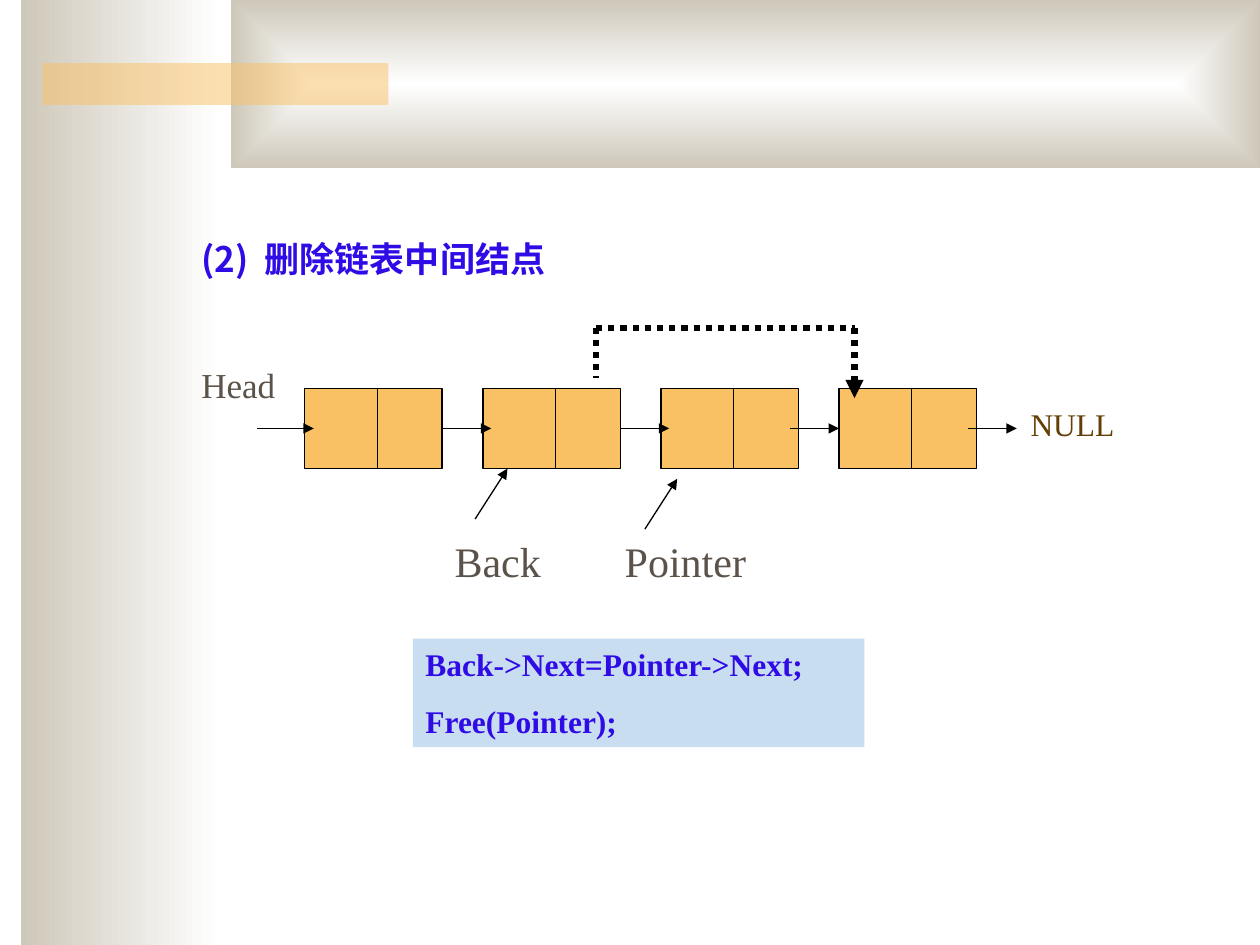
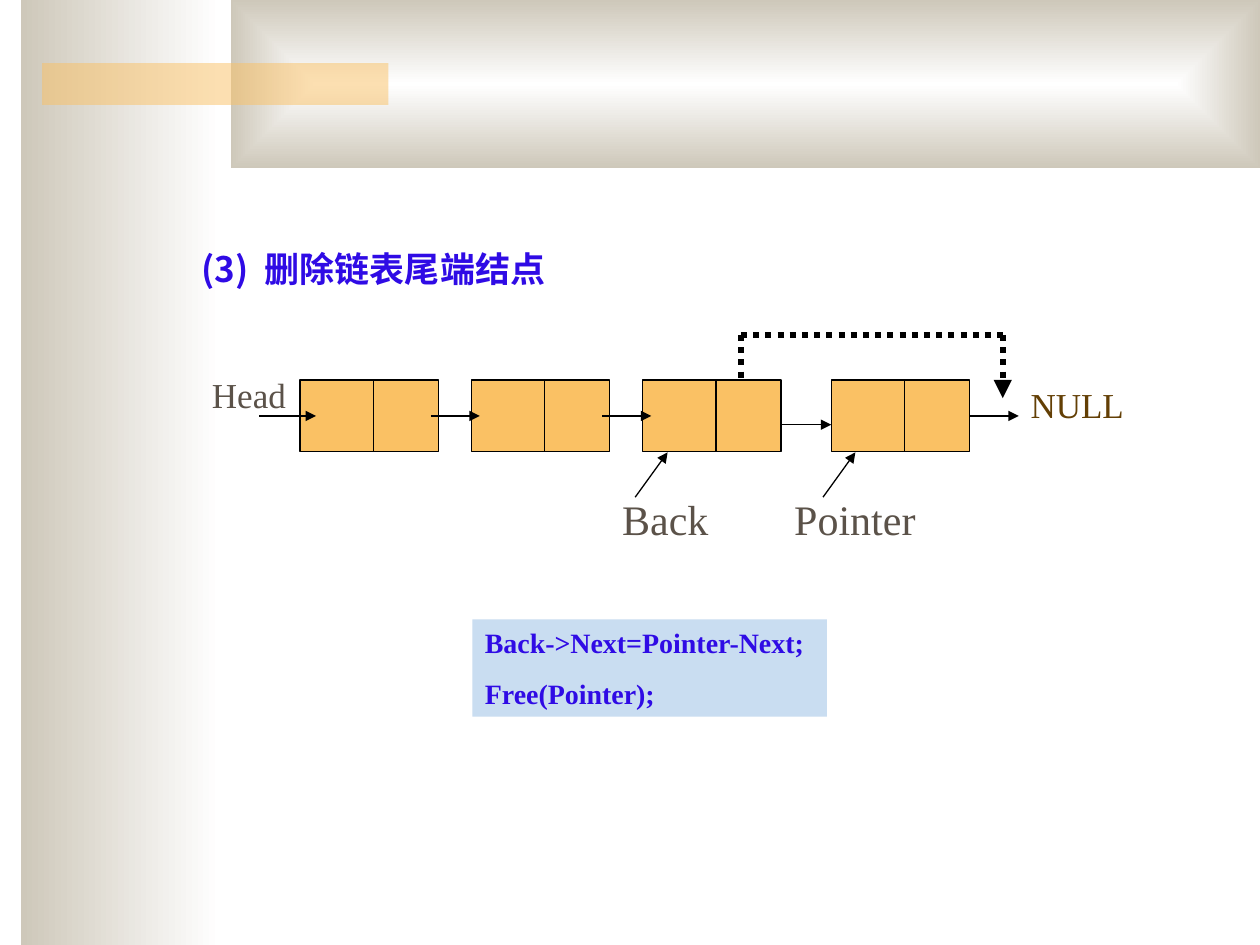
from dataclasses import dataclass
from typing import Any, Optional

import lxml.etree
import pptx
import pptx.dml.color
import pptx.enum.dml
import pptx.enum.shapes
import pptx.enum.text
import pptx.oxml.ns
import pptx.util

COLORS = {
    "band": "CEC8BA",
    "white": "FFFFFF",
    "node": "FAC164",
    "line": "000000",
    "blue": "2F0BE5",
    "label": "5B5249",
    "null": "633F05",
    "code": "C9DDF1",
}
SERIF = "Times New Roman"
SANS = "Noto Sans CJK SC"
RECTANGLE = pptx.enum.shapes.MSO_SHAPE.RECTANGLE
LEFT_SIDE, RIGHT_SIDE = 1, 3
DIVIDER_SHARE = 0.53
HEAD_LENGTH = 32.4
LINK_LENGTH = 28

Box = tuple[float, float, float, float]
Point = tuple[float, float]


@dataclass(frozen=True)
class Text:
    lines: tuple[str, ...]
    box: Box
    size: float
    color: str = "label"
    font: str = SERIF
    bold: bool = False
    fill: Optional[str] = None
    line_spacing: Optional[float] = None


@dataclass(frozen=True)
class Link:
    """Arrow to the right, optionally glued to a node at either end."""
    left: float
    y: float
    begin_node: Optional[int] = None
    end_node: Optional[int] = None


@dataclass(frozen=True)
class Detour:
    """Dotted path that goes up, across and down past the deleted node."""
    left: float
    top: float
    right: float
    start: float
    tip: float


@dataclass(frozen=True)
class ListSlide:
    title: Text
    node_lefts: tuple[float, ...]
    node_top: float
    node_size: Point
    head_start: Point
    links: tuple[Link, ...]
    pointer_tips: tuple[Point, ...]
    pointer_rise: float
    detour: Detour
    texts: tuple[Text, ...]


def rgb(name: str) -> pptx.dml.color.RGBColor:
    return pptx.dml.color.RGBColor.from_string(COLORS[name])


def points(*values: float) -> list[pptx.util.Length]:
    return [pptx.util.Pt(value) for value in values]


def add_child(parent: Any, tag: str, **attributes: str) -> Any:
    child = lxml.etree.SubElement(parent, pptx.oxml.ns.qn(tag))
    for name, value in attributes.items():
        child.set(name, value)
    return child


def find(element: Any, tag: str) -> Any:
    return next(element.iter(pptx.oxml.ns.qn(tag)))


# Basic shapes, lines and text
def add_rectangle(shapes: Any, box: Box, color: Optional[str] = None) -> Any:
    shape = shapes.add_shape(RECTANGLE, *points(*box))
    shape.shadow.inherit = False
    shape.line.fill.background()
    if color:
        shape.fill.solid()
        shape.fill.fore_color.rgb = rgb(color)
    return shape


def add_line(shapes: Any, start: Point, end: Point, width: float = 0.75,
             arrow: bool = False, dotted: bool = False) -> Any:
    connector = shapes.add_connector(
        pptx.enum.shapes.MSO_CONNECTOR.STRAIGHT, *points(*start, *end))
    connector.line.color.rgb = rgb("line")
    connector.line.width = pptx.util.Pt(width)
    if dotted:
        connector.line.dash_style = pptx.enum.dml.MSO_LINE.ROUND_DOT
    if arrow:
        add_child(find(connector.element, "a:ln"), "a:tailEnd", type="triangle")
    add_child(connector.element.spPr, "a:effectLst")
    return connector


def write_text(shape: Any, text: Text) -> None:
    shape.left, shape.top, shape.width, shape.height = points(*text.box)
    frame = shape.text_frame
    frame.word_wrap = True
    frame.auto_size = pptx.enum.text.MSO_AUTO_SIZE.SHAPE_TO_FIT_TEXT
    frame.vertical_anchor = pptx.enum.text.MSO_ANCHOR.TOP
    if text.fill:
        shape.fill.solid()
        shape.fill.fore_color.rgb = rgb(text.fill)
    for index, line in enumerate(text.lines):
        paragraph = frame.add_paragraph() if index else frame.paragraphs[0]
        paragraph.alignment = pptx.enum.text.PP_ALIGN.LEFT
        paragraph.space_before = pptx.util.Pt(text.size * 0.625)
        if text.line_spacing:
            paragraph.line_spacing = text.line_spacing
        run = paragraph.add_run()
        run.text = line
        run.font.size = pptx.util.Pt(text.size)
        run.font.bold = text.bold
        run.font.color.rgb = rgb(text.color)
        run.font.name = text.font
        add_child(find(run.font._element, "a:latin").getparent(),
                  "a:ea", typeface=text.font)


# Bands shared by all slides
def set_gradient(shape: Any) -> None:
    shape.fill.gradient()
    shape.fill.gradient_angle = 180
    for stop, color in zip(shape.fill.gradient_stops, ("white", "band")):
        stop.color.rgb = rgb(color)


def add_bands(slide: Any, layout: Any) -> None:
    """Draw the bands and move them behind the layout's placeholders."""
    side = add_rectangle(slide.shapes, (12, 0, 114, 540))
    set_gradient(side)

    header = add_rectangle(slide.shapes, (132, 0, 588, 96))
    set_gradient(header)
    linear = find(header.element, "a:lin")
    gradient = linear.getparent()
    gradient.remove(linear)
    center = add_child(gradient, "a:path", path="rect")
    add_child(center, "a:fillToRect", l="50000", t="50000", r="50000", b="50000")

    accent = add_rectangle(slide.shapes, (24, 36, 198, 24), "node")
    add_child(find(accent.element, "a:srgbClr"), "a:alpha", val="50000")

    for position, shape in enumerate((side, header, accent), start=2):
        layout.shapes.element.insert(position, shape.element)


# Parts of the linked list
def add_node(slide: Any, left: float, top: float, size: Point) -> Any:
    group = slide.shapes.add_group_shape()
    width, height = size
    node = add_rectangle(group.shapes, (left, top, width, height), "node")
    node.line.color.rgb = rgb("line")
    node.line.width = pptx.util.Pt(0.75)
    divider = left + width * DIVIDER_SHARE
    add_line(group.shapes, (divider, top), (divider, top + height))
    return node


def add_link(slide: Any, link: Link, nodes: list[Any]) -> None:
    connector = add_line(slide.shapes, (link.left, link.y),
                         (link.left + LINK_LENGTH, link.y), arrow=True)
    if link.begin_node is not None:
        connector.begin_connect(nodes[link.begin_node], RIGHT_SIDE)
    if link.end_node is not None:
        connector.end_connect(nodes[link.end_node], LEFT_SIDE)


def add_detour(slide: Any, detour: Detour) -> None:
    group = slide.shapes.add_group_shape()
    corners = [(detour.left, detour.start), (detour.left, detour.top),
               (detour.right, detour.top), (detour.right, detour.tip)]
    add_line(group.shapes, corners[1], corners[0], 3.5, dotted=True)
    add_line(group.shapes, corners[1], corners[2], 3.5, dotted=True)
    add_line(group.shapes, corners[2], corners[3], 3.5, arrow=True, dotted=True)


def fill_slide(slide: Any, content: ListSlide) -> None:
    write_text(slide.shapes.title, content.title)
    nodes = [add_node(slide, left, content.node_top, content.node_size)
             for left in content.node_lefts]
    head_x, head_y = content.head_start
    add_line(slide.shapes, content.head_start,
             (head_x + HEAD_LENGTH, head_y), arrow=True)
    for link in content.links:
        add_link(slide, link, nodes)
    for x, y in content.pointer_tips:
        add_line(slide.shapes, (x - 18.5, y + content.pointer_rise), (x, y),
                 arrow=True)
    add_detour(slide, content.detour)
    for text in content.texts:
        write_text(slide.shapes.add_textbox(*points(*text.box)), text)


def title(line: str, top: float, width: float) -> Text:
    return Text((line,), (108, top, width, 32), 20, "blue", SANS, bold=True)


def code(lines: tuple[str, ...], box: Box, size: float) -> Text:
    return Text(lines, box, size, "blue", bold=True, fill="code")


def null(box: Box, size: float) -> Text:
    return Text(("NULL",), box, size, "null", line_spacing=0.7)


SLIDES = (
    ListSlide(
        title=title("(2)  删除链表中间结点", 132, 250),
        node_lefts=tuple(174.2 + 101.75 * index for index in range(4)),
        node_top=221.8,
        node_size=(78.5, 46),
        head_start=(146.9, 244.8),
        links=(Link(252.7, 244.8, begin_node=0), Link(354.4, 244.8, begin_node=1),
               Link(451.4, 244.8, end_node=3), Link(553, 244.8)),
        pointer_tips=((290, 267.8), (387, 273.6)),
        pointer_rise=28.8,
        detour=Detour(left=340.6, top=187.2, right=488.3, start=216, tip=227.5),
        texts=(
            Text(("Head",), (108, 204, 66, 32), 20),
            Text(("Back",), (252.7, 302.4, 83, 36), 24),
            Text(("Pointer",), (349.9, 302.4, 90, 36), 24),
            null((581.8, 234, 83, 22.5), 18),
            code(("Back->Next=Pointer->Next;", "Free(Pointer);"),
                 (236, 365, 258, 62), 18),
        ),
    ),
    ListSlide(
        title=title("(3)  删除链表尾端结点", 138, 261),
        node_lefts=(171.4, 269.3, 367.2, 475),
        node_top=217.2,
        node_size=(79.2, 41),
        head_start=(148.2, 237.7),
        links=(Link(246.2, 237.7), Link(344.2, 237.7),
               Link(447, 242.7), Link(554.2, 237.7, begin_node=3)),
        pointer_tips=((381.5, 258.5), (488.8, 258.5)),
        pointer_rise=25.6,
        detour=Detour(left=423.4, top=191.4, right=573, start=216.5, tip=227.5),
        texts=(
            Text(("Head",), (114, 210, 73, 32), 20),
            Text(("Back",), (348.5, 278.6, 84.2, 36), 24),
            Text(("Pointer",), (446.8, 278.6, 84.2, 36), 24),
            null((581.8, 222, 84.2, 24.5), 20),
            code(("Back->Next=Pointer-Next;", "Free(Pointer);"),
                 (270, 354, 202.5, 55.5), 16),
        ),
    ),
)


def main() -> None:
    presentation = pptx.Presentation()
    presentation.slide_width, presentation.slide_height = points(720, 540)
    layout = presentation.slide_layouts[5]
    for index, content in enumerate(SLIDES):
        slide = presentation.slides.add_slide(layout)
        if index == 0:
            add_bands(slide, layout)
        fill_slide(slide, content)
    presentation.save("out.pptx")


if __name__ == "__main__":
    main()
